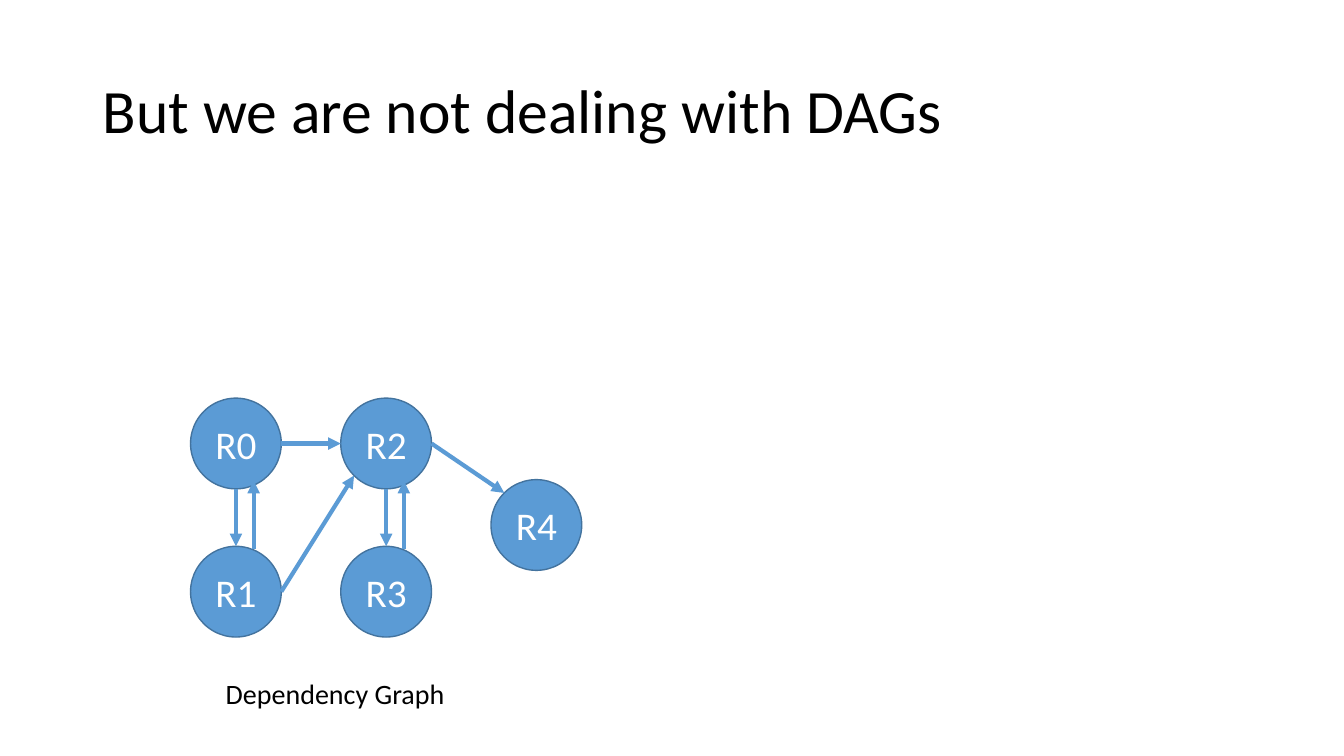
from dataclasses import dataclass
from enum import Enum
from math import sqrt

from lxml.etree import SubElement
from pptx import Presentation
from pptx.dml.color import RGBColor
from pptx.enum.shapes import MSO_CONNECTOR as Connector, MSO_SHAPE as Shape
from pptx.enum.text import MSO_ANCHOR as Anchor, MSO_AUTO_SIZE as AutoSize, PP_ALIGN as Align
from pptx.oxml.ns import qn
from pptx.util import Inches, Pt

DIAGONAL = sqrt(0.5)


@dataclass(frozen=True)
class Theme:
    font: str = "Calibri"
    ink: RGBColor = RGBColor(0x00, 0x00, 0x00)
    node_text: RGBColor = RGBColor(0xFF, 0xFF, 0xFF)
    node_fill: RGBColor = RGBColor(0x5B, 0x9B, 0xD5)
    node_line: RGBColor = RGBColor(0x43, 0x73, 0x9E)
    title_size: int = 44
    node_size: int = 28
    caption_size: int = 20
    outline: int = 1
    arrow: int = 3


@dataclass(frozen=True)
class Grid:
    """Node grid in inches: first node's corner, pitches and diameter."""
    left: float = 1.89
    top: float = 3.95
    column: float = 1.49
    row: float = 1.47
    node: float = 0.9

    def corner(self, column, row):
        return self.left + column * self.column, self.top + row * self.row

    def point(self, column, row, dx, dy):
        """Point offset from a node's centre, in radii."""
        x, y = self.corner(column, row)
        radius = self.node / 2
        return x + radius * (1 + dx), y + radius * (1 + dy)


class Site(Enum):
    """Ellipse connection sites: index, then direction from the centre."""
    TOP = (0, 0, -1)
    TOP_LEFT = (1, -DIAGONAL, -DIAGONAL)
    LEFT = (2, -1, 0)
    BOTTOM_LEFT = (3, -DIAGONAL, DIAGONAL)
    BOTTOM = (4, 0, 1)
    RIGHT = (6, 1, 0)


class GraphSlide:
    def __init__(self, presentation, theme, grid):
        self.theme, self.grid = theme, grid
        self.slide = presentation.slides.add_slide(presentation.slide_layouts[5])
        self.graph = self.slide.shapes.add_group_shape().shapes
        self.nodes, self.cells = {}, {}

    def set_text(self, frame, text, size, color, align=Align.LEFT):
        frame.text = text
        paragraph = frame.paragraphs[0]
        paragraph.alignment = align
        paragraph.font.name = self.theme.font
        paragraph.font.size = Pt(size)
        paragraph.font.color.rgb = color
        return paragraph

    def title(self, text, left, top, width, height):
        heading = self.slide.shapes.title
        heading.left, heading.top = Inches(left), Inches(top)
        heading.width, heading.height = Inches(width), Inches(height)
        frame = heading.text_frame
        frame.auto_size = AutoSize.NONE
        frame.vertical_anchor = Anchor.MIDDLE
        self.set_text(frame, text, self.theme.title_size, self.theme.ink).line_spacing = 0.9

    def caption(self, text, left, top, width, height):
        box = self.slide.shapes.add_textbox(*map(Inches, (left, top, width, height)))
        frame = box.text_frame
        frame.word_wrap = False
        frame.auto_size = AutoSize.SHAPE_TO_FIT_TEXT
        self.set_text(frame, text, self.theme.caption_size, self.theme.ink)

    def node(self, label, column, row):
        x, y = self.grid.corner(column, row)
        size = Inches(self.grid.node)
        circle = self.graph.add_shape(Shape.OVAL, Inches(x), Inches(y), size, size)
        circle.shadow.inherit = False
        circle.fill.solid()
        circle.fill.fore_color.rgb = self.theme.node_fill
        circle.line.color.rgb = self.theme.node_line
        circle.line.width = Pt(self.theme.outline)
        circle.text_frame.vertical_anchor = Anchor.MIDDLE
        self.set_text(circle.text_frame, label, self.theme.node_size,
                      self.theme.node_text, Align.CENTER)
        self.nodes[label], self.cells[label] = circle, (column, row)

    def arrow(self, start, end):
        connector = self.graph.add_connector(Connector.STRAIGHT, *map(Inches, start + end))
        connector.line.color.rgb = self.theme.node_fill
        connector.line.width = Pt(self.theme.arrow)
        properties = connector.element.spPr
        SubElement(properties.find(qn("a:ln")), qn("a:tailEnd"), type="triangle")
        SubElement(properties, qn("a:effectLst"))
        return connector

    def edge(self, source, source_site, target, target_site):
        """Arrow glued to a connection site of each node."""
        ends = (("a:stCxn", source, source_site), ("a:endCxn", target, target_site))
        connector = self.arrow(*(self.grid.point(*self.cells[label], *site.value[1:])
                                 for _, label, site in ends))
        properties = connector.element.find(".//" + qn("p:cNvCxnSpPr"))
        for tag, label, site in ends:
            SubElement(properties, qn(tag), id=str(self.nodes[label].shape_id),
                       idx=str(site.value[0]))

    def back_edge(self, source, target):
        """Upward arrow beside the downward one, its ends just inside the circles."""
        shift = 0.39
        self.arrow(self.grid.point(*self.cells[source], shift, -0.95),
                   self.grid.point(*self.cells[target], shift, 0.82))


def main():
    presentation = Presentation()
    presentation.slide_width, presentation.slide_height = Inches(13.33), Inches(7.5)
    page = GraphSlide(presentation, Theme(), Grid())
    page.title("But we are not dealing with DAGs", 0.92, 0.4, 11.5, 1.45)
    page.caption("Dependency Graph", 2.14, 6.66, 2.39, 0.44)

    for label, column, row in (("R0", 0, 0), ("R1", 0, 1), ("R2", 1, 0),
                               ("R3", 1, 1), ("R4", 2, 0.55)):
        page.node(label, column, row)

    for upper, lower in (("R0", "R1"), ("R2", "R3")):
        page.edge(upper, Site.BOTTOM, lower, Site.TOP)
        page.back_edge(lower, upper)
    page.edge("R0", Site.RIGHT, "R2", Site.LEFT)
    page.edge("R1", Site.RIGHT, "R2", Site.BOTTOM_LEFT)
    page.edge("R2", Site.RIGHT, "R4", Site.TOP_LEFT)

    presentation.save("out.pptx")


if __name__ == "__main__":
    main()
